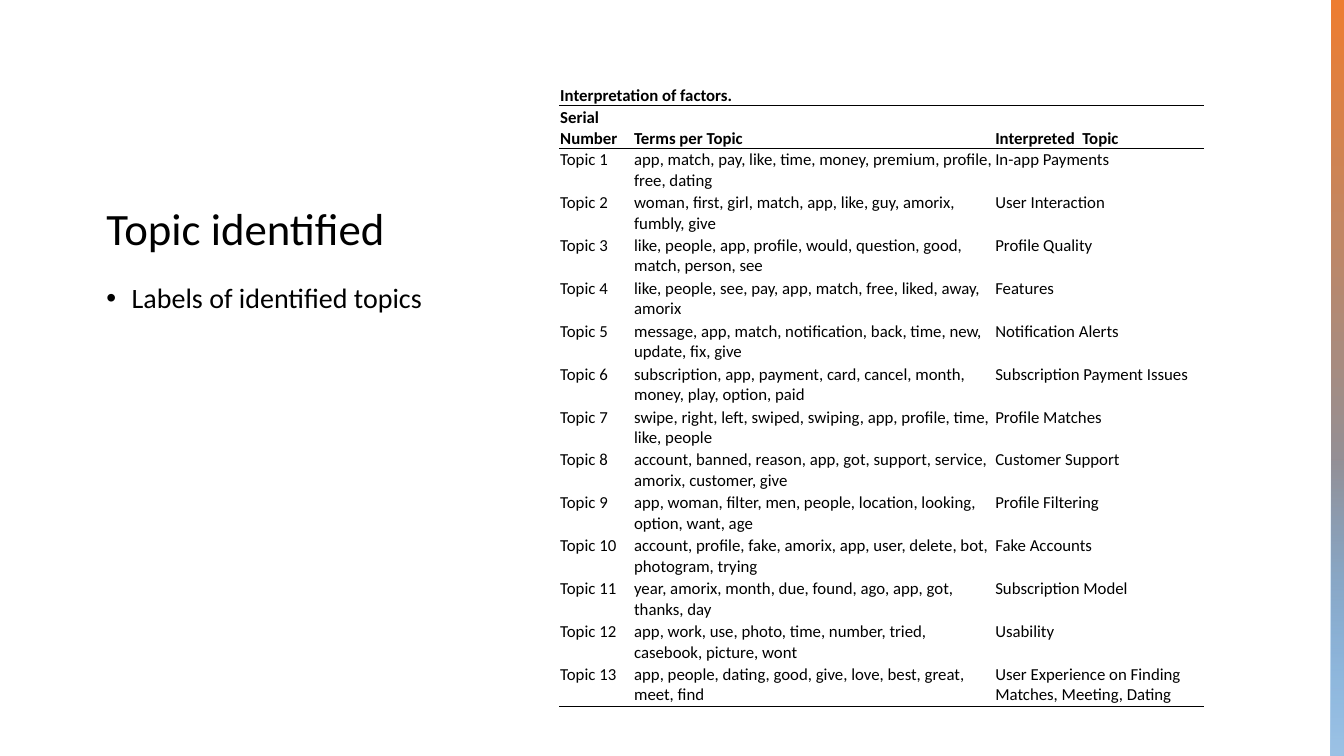
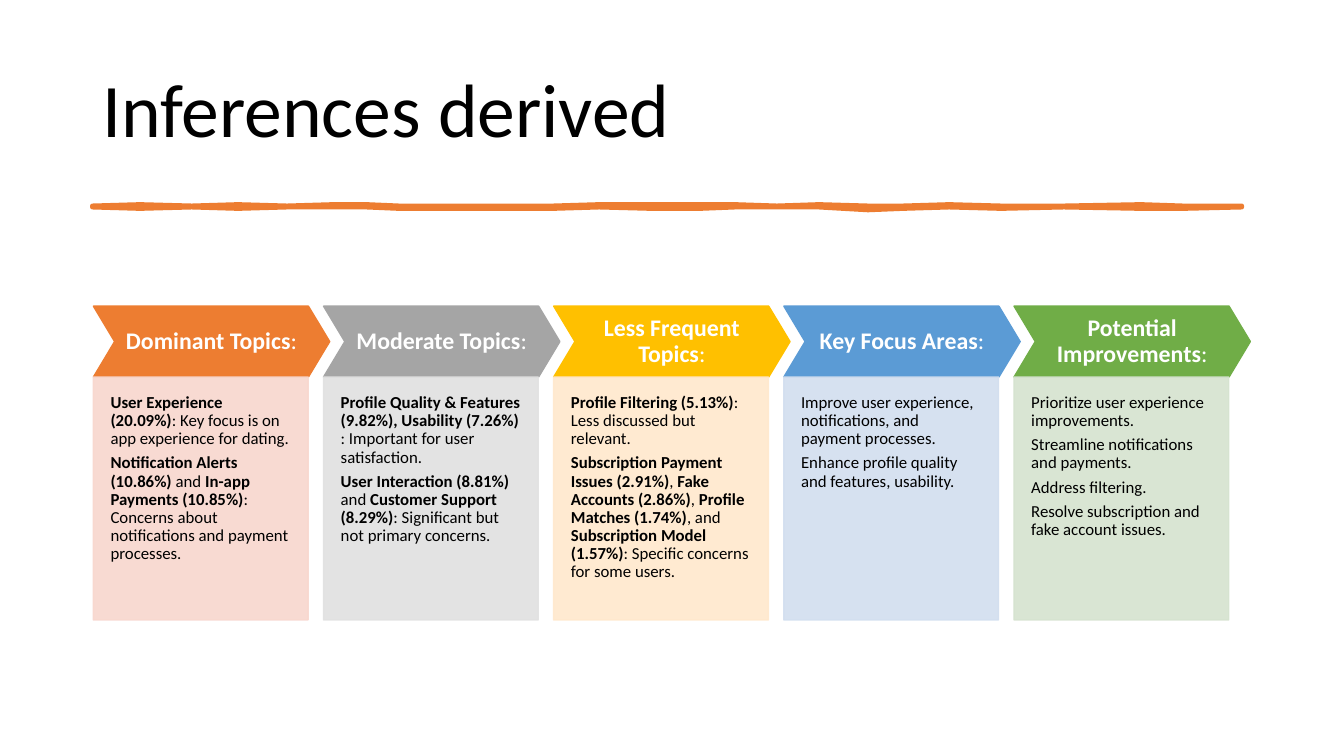
from lxml import etree
from pptx import Presentation
from pptx.dml.color import RGBColor
from pptx.enum import shapes, text
from pptx.oxml.ns import qn
from pptx.util import Pt

FONT, INK, WHITE, ORANGE, BLUE = "Calibri", "000000", "FFFFFF", "ED7D31", "5B9BD5"
SHAPE, ANCHOR = shapes.MSO_SHAPE, text.MSO_ANCHOR


def tint(color, code, alpha=100):
    """Set a colour format from a hex string, with opacity in percent."""
    color.rgb = RGBColor.from_string(code)
    if alpha < 100:
        for node in color._xFill.iter(qn("a:srgbClr")) if hasattr(color, "_xFill") else ():
            etree.SubElement(node, qn("a:alpha"), val=str(alpha * 1000))


def write(frame, lines, size, code=INK, inset=None, anchor=ANCHOR.TOP, **form):
    """Fill a text frame; parts between asterisks are bold."""
    frame.word_wrap = True
    frame.vertical_anchor = anchor
    for side, gap in zip(("left", "top", "right", "bottom"), inset or (7.2, 3.6, 7.2, 3.6)):
        setattr(frame, "margin_" + side, Pt(gap))
    for i, line in enumerate(lines):
        para = frame.add_paragraph() if i else frame.paragraphs[0]
        for key, val in form.items():
            setattr(para, key, val)
        for j, part in enumerate(line.split("*")):
            if part:
                run = para.add_run()
                run.text = part
                look = {"name": FONT, "size": Pt(size), "bold": j % 2 == 1}
                for key, val in look.items():
                    setattr(run.font, key, val)
                tint(run.font.color, code)


deck = Presentation()
deck.slide_width, deck.slide_height = Pt(960), Pt(540)
blank = deck.slide_layouts[6]

# Slide 1: table of topics
page = deck.slides.add_slide(blank)
box = page.shapes.add_textbox(Pt(69), Pt(58.3), Pt(272), Pt(127.5))
write(box.text_frame, ["Topic identified"], 32, anchor=ANCHOR.BOTTOM, line_spacing=0.9)
box = page.shapes.add_textbox(Pt(69), Pt(199.5), Pt(272), Pt(271.5))
write(box.text_frame, ["Labels of identified topics"], 20,
      line_spacing=0.9, space_before=Pt(10))
props = box.text_frame.paragraphs[0]._p.get_or_add_pPr()
props.set("marL", str(Pt(18)))
props.set("indent", str(-Pt(18)))
etree.SubElement(props, qn("a:buFont"), typeface="Arial")
etree.SubElement(props, qn("a:buChar"), char="•")

# Side band: a colour fade with a pale glow over its lower half
bands = [
    (0, [(0, ORANGE, 100), (1, BLUE, 100)]),
    (278, [(0.19, "9DC3E6", 0), (1, "9DC3E6", 100)]),
]
for top, stops in bands:
    band = page.shapes.add_shape(SHAPE.RECTANGLE, Pt(950.4), Pt(top), Pt(9.6), Pt(540 - top))
    band.shadow.inherit = False
    band.line.fill.background()
    band.fill.gradient()
    band.fill.gradient_angle = 270
    for stop, (spot, code, alpha) in zip(band.fill.gradient_stops, stops):
        stop.position = spot
        tint(stop.color, code, alpha)

topics = [
    ("app, match, pay, like, time, money, premium, profile, free, dating", "In-app Payments"),
    ("woman, first, girl, match, app, like, guy, amorix, fumbly, give", "User Interaction"),
    ("like, people, app, profile, would, question, good, match, person, see",
     "Profile Quality"),
    ("like, people, see, pay, app, match, free, liked, away, amorix", "Features"),
    ("message, app, match, notification, back, time, new, update, fix, give",
     "Notification Alerts"),
    ("subscription, app, payment, card, cancel, month, money, play, option, paid",
     "Subscription Payment Issues"),
    ("swipe, right, left, swiped, swiping, app, profile, time, like, people",
     "Profile Matches"),
    ("account, banned, reason, app, got, support, service, amorix, customer, give",
     "Customer Support"),
    ("app, woman, filter, men, people, location, looking, option, want, age",
     "Profile Filtering"),
    ("account, profile, fake, amorix, app, user, delete, bot, photogram, trying",
     "Fake Accounts"),
    ("year, amorix, month, due, found, ago, app, got, thanks, day", "Subscription Model"),
    ("app, work, use, photo, time, number, tried, casebook, picture, wont", "Usability"),
    ("app, people, dating, good, give, love, best, great, meet, find",
     "User Experience on Finding Matches, Meeting, Dating"),
]
rows = [("*Interpretation of factors.*", "", ""),
        ("*Serial Number*", "*Terms per Topic*", "*Interpreted  Topic*")]
rows += [(f"Topic {n}", *pair) for n, pair in enumerate(topics, 1)]
widths = (52.8, 258, 149.6)
high = 30.65
frame = page.shapes.add_table(len(rows), 3, Pt(399.5), Pt(58.3), Pt(sum(widths)),
                              Pt(17.3 + high * (len(rows) - 1)))
grid = frame.table
grid.first_row = grid.horz_banding = False
plain = "{2D5ABB26-0587-4C30-8999-92F81FD0307C}"
frame.element.find(".//" + qn("a:tableStyleId")).text = plain
for col, width in zip(grid.columns, widths):
    col.width = Pt(width)
for r, row in enumerate(rows):
    grid.rows[r].height = Pt(high if r else 17.3)
    for c, words in enumerate(row):
        cell = grid.cell(r, c)
        cell.fill.background()
        cell.vertical_anchor = ANCHOR.BOTTOM if r < 2 else ANCHOR.TOP
        for side, gap in zip(("left", "top", "right", "bottom"), (0.7, 0.7, 0.7, 0)):
            setattr(cell, "margin_" + side, Pt(gap))
        para = cell.text_frame.paragraphs[0]
        para.font.size = Pt(12)
        if words:
            run = para.add_run()
            run.text = words.strip("*")
            look = {"name": FONT, "size": Pt(12), "bold": r < 2}
            for key, val in look.items():
                setattr(run.font, key, val)
            tint(run.font.color, INK)
        if r in (0, 1, len(rows) - 1):
            edge = etree.Element(qn("a:lnB"), w=str(Pt(1)))
            fill = etree.SubElement(edge, qn("a:solidFill"))
            etree.SubElement(fill, qn("a:srgbClr"), val=INK)
            cell._tc.get_or_add_tcPr().insert(0, edge)
grid.cell(0, 0).merge(grid.cell(0, 1))

# Slide 2: chevrons over text panels
page = deck.slides.add_slide(blank)
box = page.shapes.add_textbox(Pt(66), Pt(28.8), Pt(828), Pt(104.4))
write(box.text_frame, ["Inferences derived"], 54, anchor=ANCHOR.MIDDLE, line_spacing=0.9)

# Brush stroke: x, rise above and drop below the nominal edges
waves = [
    (66, 0, 0), (100, 0.7, 0.8), (137, 0, 0.2), (170, 0.4, 0.7), (205, 0, 0),
    (238, 0.6, 0), (262, 0.5, 0.2), (285, 0, 1), (312, 0, 0.6), (345, 0.3, 0.3),
    (395, 0, 0.3), (428, 0.6, 0.2), (465, 0.5, 0.3), (500, 1, 0.7), (525, 0.6, 0.2),
    (555, -0.3, 0.2), (585, 0.4, -0.2), (620, 0, 1.3), (645, 0.3, 0.8), (678, 1, 0.2),
    (715, 0.2, 0.6), (760, 0, 0.2), (815, 0.9, 0.9), (845, 0.3, 0.3), (887, 0, 0),
]
rim = [(x, 146.9 - up) for x, up, down in waves]
rim += [(x, 148.3 + down) for x, up, down in reversed(waves)]
pen = page.shapes.build_freeform(*rim[0], scale=Pt(1))
# Tenths of a point are kept, since vertices scale as floats
pen.add_line_segments(rim[1:], close=True)
brush = pen.convert_to_shape()
brush.shadow.inherit = False
brush.fill.solid()
tint(brush.fill.fore_color, ORANGE)
tint(brush.line.color, ORANGE)
brush.line.width = Pt(3.25)
etree.SubElement(brush.line._get_or_add_ln(), qn("a:round"))

parts = [
    ("Dominant Topics", ORANGE, "F8D7CE", [
        "*User Experience (20.09%)*: Key focus is on app experience for dating.",
        "*Notification Alerts (10.86%)* and *In-app Payments (10.85%)*: "
        "Concerns about notifications and payment processes."]),
    ("Moderate Topics", "A5A5A5", "E1E1E1", [
        "*Profile Quality & Features (9.82%), Usability (7.26%)* : "
        "Important for user satisfaction.",
        "*User Interaction (8.81%)* and *Customer Support (8.29%)*: "
        "Significant but not primary concerns."]),
    ("Less Frequent Topics", "FFC000", "FFE8CC", [
        "*Profile Filtering (5.13%)*: Less discussed but relevant.",
        "*Subscription Payment Issues (2.91%)*, *Fake Accounts (2.86%)*, "
        "*Profile Matches (1.74%)*, and *Subscription Model (1.57%)*: "
        "Specific concerns for some users."]),
    ("Key Focus Areas", BLUE, "D2DEEF", [
        "Improve user experience, notifications, and payment processes.",
        "Enhance profile quality and features, usability."]),
    ("Potential Improvements", "70AD47", "D5E3CF", [
        "Prioritize user experience improvements.",
        "Streamline notifications and payments.",
        "Address filtering.",
        "Resolve subscription and fake account issues."]),
]
for i, (head, deep, pale, notes) in enumerate(parts):
    left = Pt(66.7 + 164.4 * i)
    arrow = page.shapes.add_shape(SHAPE.CHEVRON, left, Pt(218.7), Pt(168.8), Pt(50.6))
    arrow.adjustments[0] = 0.3
    panel = page.shapes.add_shape(SHAPE.RECTANGLE, left, Pt(269.3), Pt(153.4), Pt(173.6))
    for item, code, alpha in ((arrow, deep, 100), (panel, pale, 90)):
        item.shadow.inherit = False
        item.fill.solid()
        tint(item.fill.fore_color, code, alpha)
        tint(item.line.color, code, alpha)
        item.line.width = Pt(1)
    write(arrow.text_frame, [f"*{head}*:"], 17, WHITE, (6.5,) * 4, ANCHOR.MIDDLE,
          alignment=text.PP_ALIGN.CENTER, line_spacing=0.9)
    write(panel.text_frame, notes, 12, INK, (12.3, 12.3, 12.3, 24.5),
          alignment=text.PP_ALIGN.LEFT, line_spacing=0.9, space_after=Pt(4.2))

deck.save("out.pptx")
